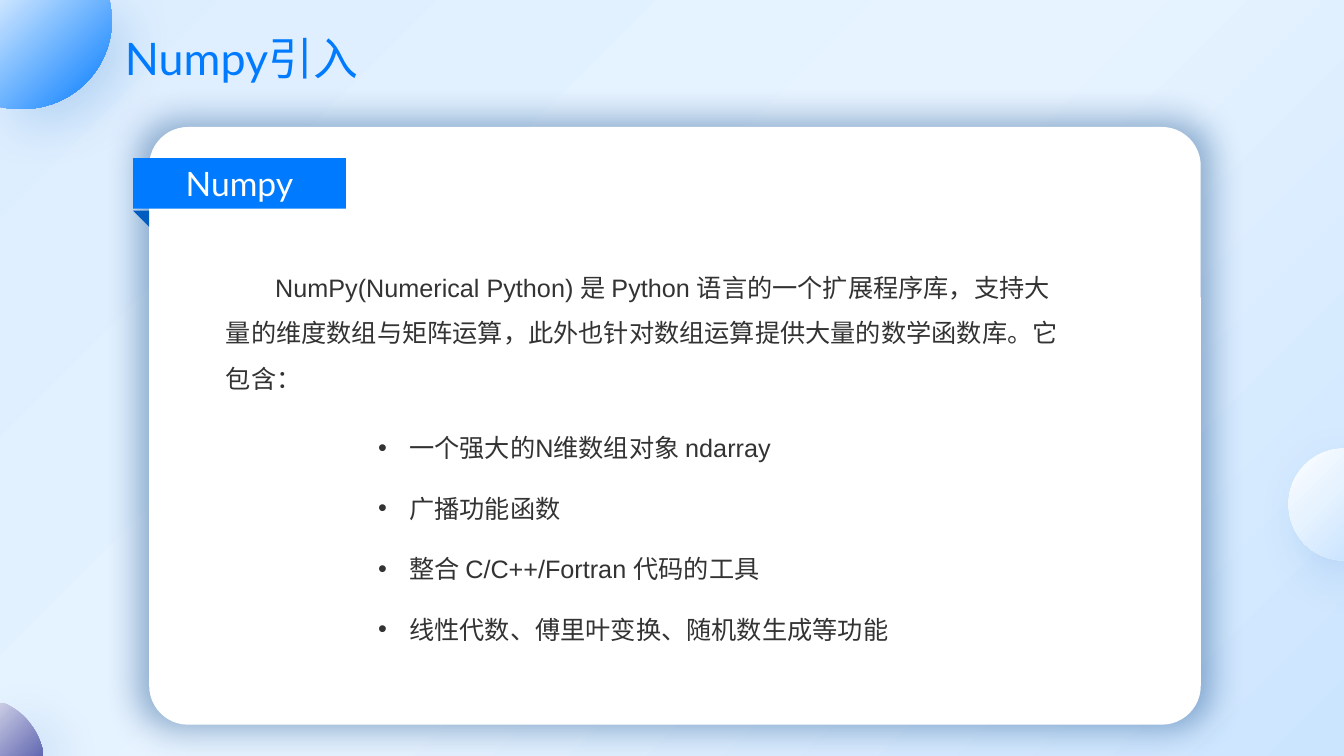
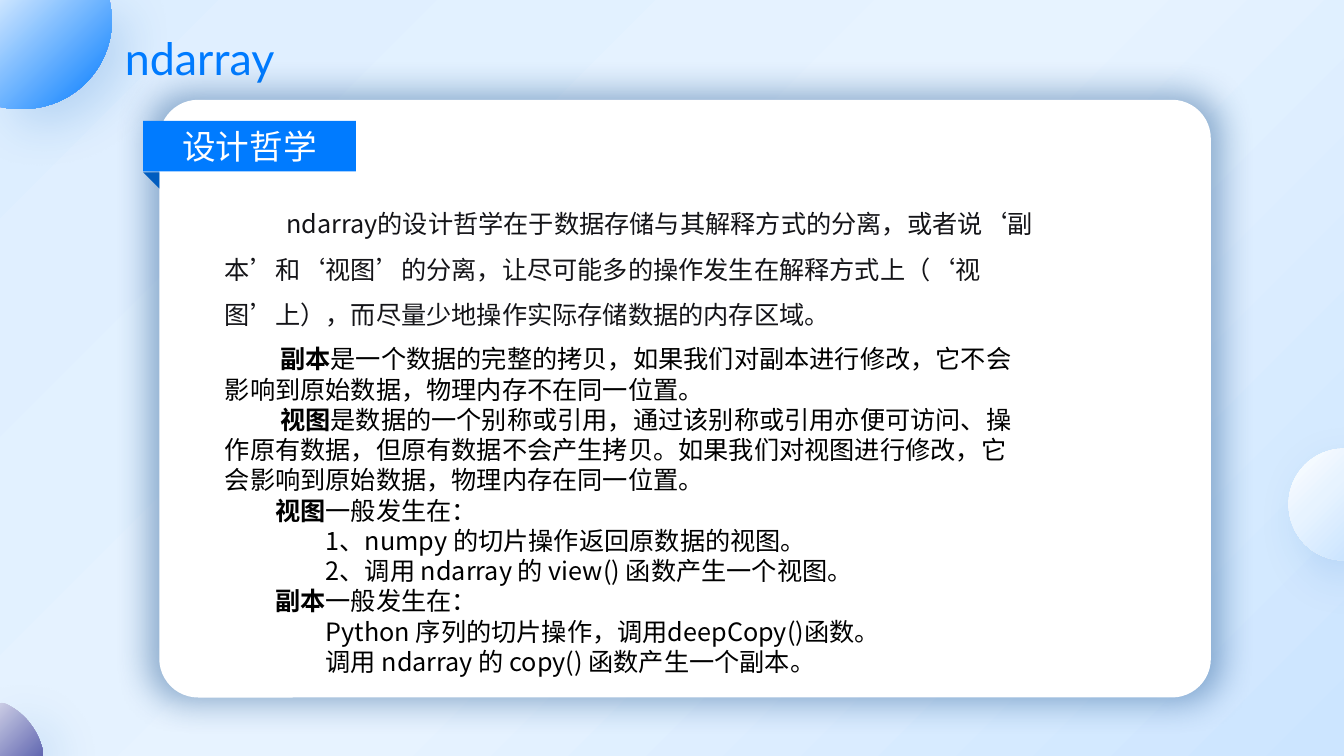
import lxml.etree
import pptx
import pptx.dml.color
import pptx.enum.shapes
import pptx.enum.text
import pptx.oxml.ns
import pptx.util

Inches = pptx.util.Inches
RGBColor = pptx.dml.color.RGBColor
MSO_SHAPE = pptx.enum.shapes.MSO_SHAPE
PP_ALIGN = pptx.enum.text.PP_ALIGN
MSO_ANCHOR = pptx.enum.text.MSO_ANCHOR
qn = pptx.oxml.ns.qn

BLUE = RGBColor(0x00, 0x7B, 0xFF)
DARK_BLUE = RGBColor(0x00, 0x5C, 0xBF)
NAVY = RGBColor(0x00, 0x3D, 0x80)
SKY = RGBColor(0xCC, 0xE5, 0xFF)
MIST = RGBColor(0xE7, 0xF3, 0xFF)
PALE = RGBColor(0xDD, 0xEE, 0xFF)
LILAC = RGBColor(0xCB, 0xCD, 0xE5)
VIOLET = RGBColor(0x63, 0x69, 0xB2)
WHITE = RGBColor(0xFF, 0xFF, 0xFF)
GREY = RGBColor(0x33, 0x33, 0x33)
INK = RGBColor(0x14, 0x14, 0x18)
BLACK = RGBColor(0x00, 0x00, 0x00)

HEAD_FONT = "Lato"
LATIN_FONT = "Arial"
CJK_FONT = "Noto Sans CJK SC"
WIDTH, HEIGHT = 13.33, 7.5

BACKDROP = [(0, PALE), (52, MIST), (100, SKY)]
ORBS = [
    ([[(0, 0)], [(1.09, 0)], [(1.09, 0.02)],
      [(1.1, 0.08), (1.11, 0.14), (1.11, 0.2)],
      [(1.11, 0.69), (0.71, 1.08), (0.23, 1.08)],
      [(0.16, 1.08), (0.1, 1.08), (0.05, 1.07)], [(0, 1.06)]],
     [(0, SKY), (100, BLUE)]),
    ([[(WIDTH, 4.45)], [(WIDTH, 5.56)],
      [(13.02, 5.56), (12.78, 5.31), (12.78, 5)],
      [(12.78, 4.7), (13.02, 4.45), (WIDTH, 4.45)]],
     [(0, WHITE), (49, MIST), (100, SKY)]),
    ([[(0, 6.97)], [(0.05, 6.98)],
      [(0.23, 7.06), (0.37, 7.23), (0.42, 7.43)],
      [(0.42, HEIGHT)], [(0, HEIGHT)]],
     [(0, LILAC), (100, VIOLET)]),
]


def add_node(parent, tag, **attributes):
    node = lxml.etree.SubElement(parent, qn(tag))
    for name, value in attributes.items():
        node.set(name, str(value))
    return node


def paint_gradient(fill, owner, stops):
    fill.gradient()
    fill.gradient_angle = 315
    stop_list = next(owner.iter(qn("a:gsLst")))
    for old_stop in list(stop_list):
        stop_list.remove(old_stop)
    for percent, color in stops:
        stop = add_node(stop_list, "a:gs", pos=percent * 1000)
        add_node(stop, "a:srgbClr", val=color)


def cast_shadow(shape, color, opacity, blur, distance=0, angle=0, scale=100):
    effects = shape._element.spPr.find(qn("a:effectLst"))
    shadow = add_node(effects, "a:outerShdw", blurRad=pptx.util.Pt(blur),
                      dist=pptx.util.Pt(distance), dir=angle * 60000,
                      sx=scale * 1000, sy=scale * 1000,
                      algn="ctr", rotWithShape=0)
    tint = add_node(shadow, "a:srgbClr", val=color)
    add_node(tint, "a:alpha", val=opacity * 1000)


def write(frame, text, *, lead="", size=18, font=CJK_FONT, color=BLACK,
          align=PP_ALIGN.LEFT, spacing=1, left=0, first=0, bullet=None):
    paragraph = frame.paragraphs[0]
    if paragraph.runs:
        paragraph = frame.add_paragraph()
    paragraph.alignment = align
    paragraph.line_spacing = spacing
    properties = paragraph._p.get_or_add_pPr()
    properties.set("marL", str(Inches(left)))
    properties.set("indent", str(Inches(first)))
    if bullet:
        add_node(properties, "a:buFont", typeface=LATIN_FONT)
        add_node(properties, "a:buChar", char=bullet)
    for words, bold in ((lead, True), (text, False)):
        if words:
            run = paragraph.add_run()
            run.text = words
            run.font.size = pptx.util.Pt(size)
            run.font.bold = bold
            run.font.name = font
            run.font.color.rgb = color
            run_properties = run._r.get_or_add_rPr()
            run_properties.set("lang", "zh-CN")
            add_node(run_properties, "a:ea", typeface=CJK_FONT)


class Deck:
    """Holds the shared style and the slide being drawn."""

    def __init__(self):
        self.presentation = pptx.Presentation()
        self.presentation.slide_width = Inches(WIDTH)
        self.presentation.slide_height = Inches(HEIGHT)
        master = self.presentation.slide_master
        paint_gradient(master.background.fill, master._element, BACKDROP)
        self.slide = None

    def start(self, title):
        layout = self.presentation.slide_layouts[6]
        self.slide = self.presentation.slides.add_slide(layout)
        for segments, stops in ORBS:
            self.orb(segments, stops)
        heading = self.text_area(1.14, 0.31, 3, 0.59, inset=None)
        heading.vertical_anchor = MSO_ANCHOR.MIDDLE
        write(heading, title, size=32, font=HEAD_FONT, color=BLUE, spacing=0.9)

    def orb(self, segments, stops):
        corners = [tuple(map(Inches, segment[-1])) for segment in segments]
        outline = self.slide.shapes.build_freeform(*corners[0])
        outline.add_line_segments(corners[1:])
        ball = outline.convert_to_shape()
        sides = list(ball._element.iter(qn("a:lnTo")))
        for side, segment in zip(sides, segments[1:]):
            if len(segment) == 3:
                curve = lxml.etree.Element(qn("a:cubicBezTo"))
                for x, y in segment:
                    add_node(curve, "a:pt", x=Inches(x) - ball.left,
                             y=Inches(y) - ball.top)
                side.getparent().replace(side, curve)
        ball.shadow.inherit = False
        ball.line.fill.background()
        paint_gradient(ball.fill, ball._element, stops)
        cast_shadow(ball, DARK_BLUE, 16, 35, 16, 45)

    def block(self, kind, left, top, width, height, color):
        block = self.slide.shapes.add_shape(
            kind, Inches(left), Inches(top), Inches(width), Inches(height))
        block.shadow.inherit = False
        block.fill.solid()
        block.fill.fore_color.rgb = color
        block.line.fill.background()
        return block

    def card(self, left, top):
        card = self.block(MSO_SHAPE.ROUNDED_RECTANGLE,
                          left, top, 10.43, 5.93, WHITE)
        card.adjustments[0] = 0.065
        cast_shadow(card, NAVY, 40, 25, scale=102)

    def ribbon(self, left, top, label, fold_drop):
        ribbon = self.block(MSO_SHAPE.RECTANGLE, left, top, 2.11, 0.5, BLUE)
        ribbon.text_frame.vertical_anchor = MSO_ANCHOR.MIDDLE
        write(ribbon.text_frame, label, size=24, font=HEAD_FONT,
              color=WHITE, align=PP_ALIGN.CENTER)
        fold = self.block(MSO_SHAPE.RIGHT_TRIANGLE,
                          left, top + fold_drop, 0.16, 0.16, DARK_BLUE)
        fold.rotation = 180

    def text_area(self, left, top, width, height, inset=0):
        frame = self.slide.shapes.add_textbox(
            Inches(left), Inches(top), Inches(width), Inches(height)).text_frame
        frame.word_wrap = True
        if inset is not None:
            frame.margin_left = frame.margin_right = Inches(inset)
            frame.margin_top = frame.margin_bottom = Inches(inset)
        return frame


def add_numpy_slide(deck):
    deck.start("Numpy引入")
    deck.card(1.48, 1.26)
    deck.ribbon(1.32, 1.57, "Numpy", 0.52)
    write(deck.text_area(2.24, 2.55, 8.26, 1.31),
          "NumPy(Numerical Python) 是 Python 语言的一个扩展程序库，支持大量的维度数组"
          "与矩阵运算，此外也针对数组运算提供大量的数学函数库。它包含：",
          font=LATIN_FONT, color=GREY, spacing=1.5, first=0.49)
    features = deck.text_area(3.75, 3.99, 5.44, 2.34)
    for feature in ("一个强大的N维数组对象 ndarray", "广播功能函数",
                    "整合 C/C++/Fortran 代码的工具",
                    "线性代数、傅里叶变换、随机数生成等功能"):
        write(features, feature, font=LATIN_FONT, color=GREY, spacing=2,
              align=PP_ALIGN.JUSTIFY, left=0.31, first=-0.31, bullet="•")


def add_ndarray_slide(deck):
    deck.start("ndarray")
    deck.card(1.58, 0.99)
    deck.ribbon(1.42, 1.2, "设计哲学", 0.51)
    write(deck.text_area(2.23, 1.92, 8.26, 1.31),
          "ndarray的设计哲学在于数据存储与其解释方式的分离，或者说‘副本’和‘视图’的分离，"
          "让尽可能多的操作发生在解释方式上（‘视图’上），"
          "而尽量少地操作实际存储数据的内存区域。",
          color=INK, spacing=1.5, first=0.61)
    details = deck.text_area(2.23, 3.41, 7.92, 3.33)
    definitions = [
        ("副本", "是一个数据的完整的拷贝，如果我们对副本进行修改，"
                 "它不会影响到原始数据，物理内存不在同一位置。"),
        ("视图", "是数据的一个别称或引用，通过该别称或引用亦便可访问、操作原有数据，"
                 "但原有数据不会产生拷贝。如果我们对视图进行修改，"
                 "它会影响到原始数据，物理内存在同一位置。"),
    ]
    for term, meaning in definitions:
        write(details, meaning, lead=term, first=0.55)
    occasions = [
        ("视图", ["1、numpy 的切片操作返回原数据的视图。",
                  "2、调用 ndarray 的 view() 函数产生一个视图。"]),
        ("副本", ["Python 序列的切片操作，调用deepCopy()函数。",
                  "调用 ndarray 的 copy() 函数产生一个副本。"]),
    ]
    for term, cases in occasions:
        write(details, "一般发生在：", lead=term, first=0.5)
        for case in cases:
            write(details, case, left=1)


def main():
    deck = Deck()
    add_numpy_slide(deck)
    add_ndarray_slide(deck)
    deck.presentation.save("out.pptx")


if __name__ == "__main__":
    main()
